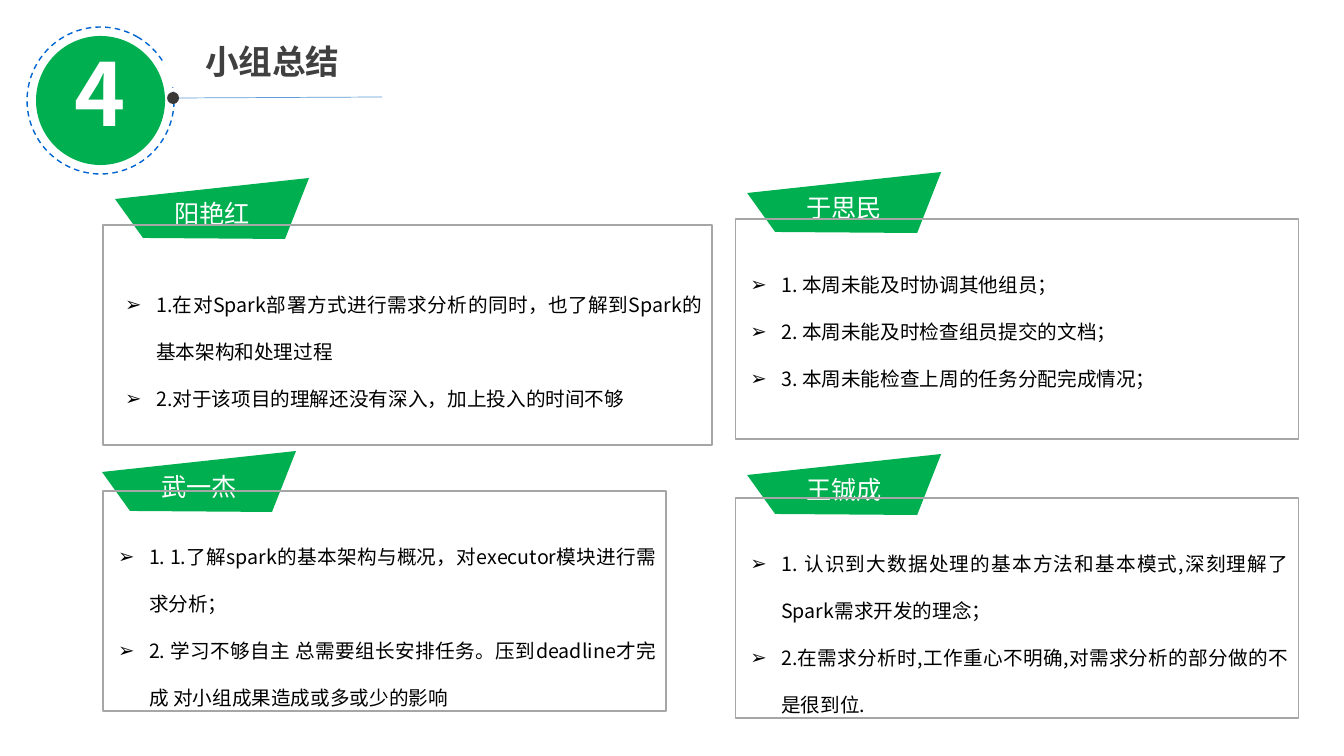
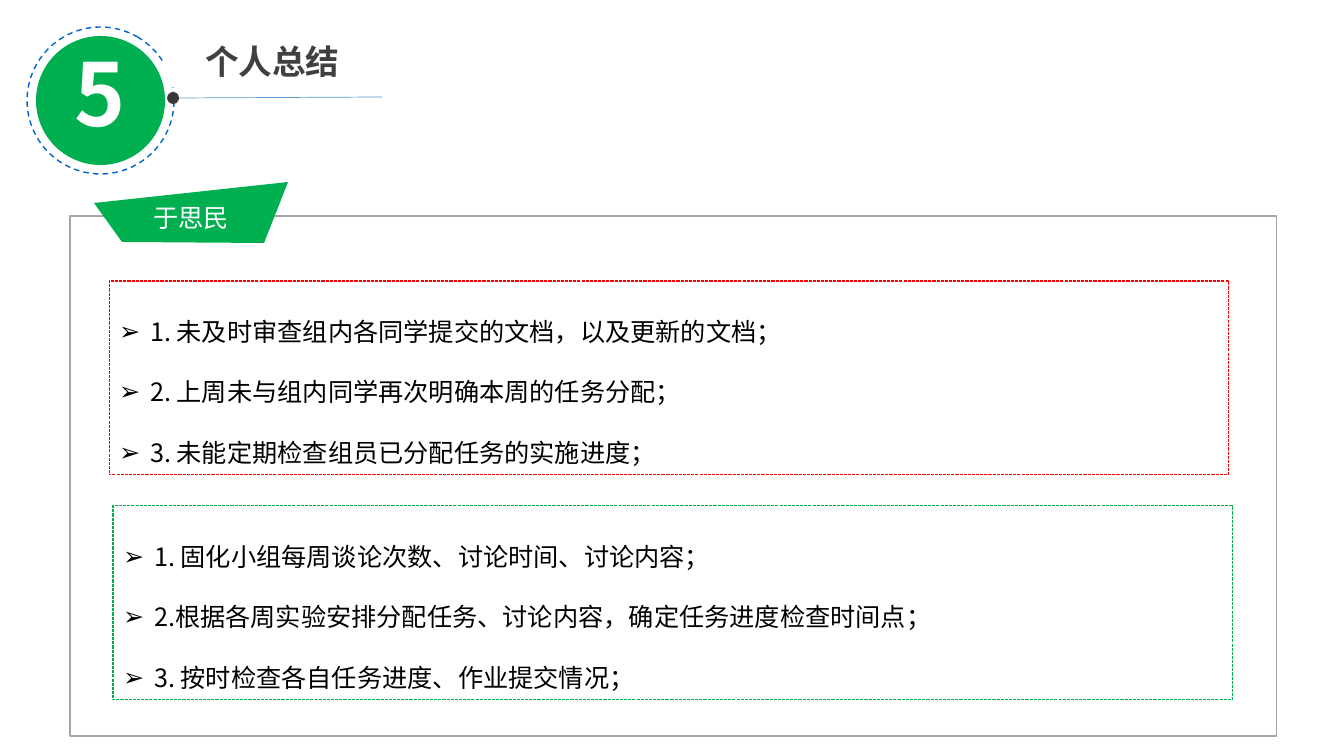
from lxml import etree
from pptx import Presentation
from pptx import util as u
from pptx.dml.color import RGBColor
from pptx.enum import dml, shapes, text
from pptx.oxml.ns import qn

PX = 914400 / 100.8
GREEN, WHITE, BLACK, GREY = "00B050", "FFFFFF", "000000", "A6A6A6"
FONT = "Noto Sans CJK SC"
DASH, SHORT_DASH = dml.MSO_LINE.DASH, dml.MSO_LINE.SQUARE_DOT
TAG_OUTLINE = [(0, 21), (194, 0), (170, 61), (28, 60)]
INDENT = 31

# Each card: name, tag corner, frame box.  Each list: box, outline, lines.
sections = [
    dict(number="4", title="小组总结", layout=4, size=14, tag_in_front=False,
         cards=[
             ("阳艳红", (115, 178), (103, 225, 609, 220)),
             ("于思民", (747, 172), (735, 219, 563, 220)),
             ("武一杰", (102, 451), (103, 491, 563, 220)),
             ("王铖成", (747, 454), (735, 498, 563, 220))],
         lists=[
             ((115, 264, 597, 152), None, [
                 "1.在对Spark部署方式进行需求分析的同时，也了解到Spark的基本架构和处理过程",
                 "2.对于该项目的理解还没有深入，加上投入的时间不够"]),
             ((740, 244, 535, 152), None, [
                 "1. 本周未能及时协调其他组员；",
                 "2. 本周未能及时检查组员提交的文档；",
                 "3. 本周未能检查上周的任务分配完成情况；"]),
             ((108, 516, 558, 201), None, [
                 "1. 1.了解spark的基本架构与概况，对executor模块进行需求分析；",
                 "2. 学习不够自主 总需要组长安排任务。压到deadline才完成 对小组成果造成或多或少的影响"]),
             ((740, 523, 558, 201), None, [
                 "1. 认识到大数据处理的基本方法和基本模式,深刻理解了Spark需求开发的理念；",
                 "2.在需求分析时,工作重心不明确,对需求分析的部分做的不是很到位."])]),
    dict(number="5", title="个人总结", layout=3, size=18, tag_in_front=True,
         cards=[("于思民", (94, 182), (70, 216, 1206, 520))],
         lists=[
             ((109, 281, 1119, 194), "FF0000", [
                 "1. 未及时审查组内各同学提交的文档，以及更新的文档；",
                 "2. 上周未与组内同学再次明确本周的任务分配；",
                 "3. 未能定期检查组员已分配任务的实施进度；"]),
             ((113, 506, 1119, 194), GREEN, [
                 "1. 固化小组每周谈论次数、讨论时间、讨论内容；",
                 "2.根据各周实验安排分配任务、讨论内容，确定任务进度检查时间点；",
                 "3. 按时检查各自任务进度、作业提交情况；"])]),
]


def paint(shape, fill=None, line=None, width=1, dash=None):
    """Set fill and outline; None means there is none."""
    shape.shadow.inherit = False
    for part, color in ((shape.fill, fill), (shape.line.fill, line)):
        if color:
            part.solid()
            part.fore_color.rgb = RGBColor.from_string(color)
        else:
            part.background()
    if line:
        shape.line.width = u.Pt(width)
        shape.line.dash_style = dash


def write(para, words, size, color, align, bold=False):
    """Fill a paragraph and set its font for Latin and Chinese text."""
    para.text = words
    para.alignment = align
    font = para.font
    font.size, font.bold, font.name = u.Pt(size), bold, FONT
    font.color.rgb = RGBColor.from_string(color)
    properties = para._p.pPr.find(qn("a:defRPr"))
    etree.SubElement(properties, qn("a:ea"), typeface=FONT)


deck = Presentation()
deck.slide_width, deck.slide_height = u.Inches(13.33), u.Inches(7.5)
ALIGN, ANCHOR = text.PP_ALIGN, text.MSO_ANCHOR
OVAL = shapes.MSO_SHAPE.OVAL

for section in sections:
    page = deck.slides.add_slide(deck.slide_layouts[section["layout"]])
    title, *bodies = page.placeholders
    tree = title.element.getparent()

    # Bulleted lists
    for body, (place, outline, lines) in zip(bodies, section["lists"]):
        body.left, body.top, body.width, body.height = [round(n * PX) for n in place]
        paint(body, None, outline, 0.75, SHORT_DASH)
        frame = body.text_frame
        frame.word_wrap, frame.auto_size = True, text.MSO_AUTO_SIZE.NONE
        frame.vertical_anchor = ANCHOR.TOP
        for index, words in enumerate(lines):
            para = frame.add_paragraph() if index else frame.paragraphs[0]
            para.line_spacing, para.space_before = 2.0, u.Pt(0)
            spacing = para._p.get_or_add_pPr()
            spacing.set("marL", str(round(INDENT * PX)))
            spacing.set("indent", str(round(-INDENT * PX)))
            etree.SubElement(spacing, qn("a:buChar"), char="➢")
            write(para, words, section["size"], BLACK, ALIGN.JUSTIFY)

    # Name tags and frames
    for name, (left, top), place in section["cards"]:
        points = [(left + x, top + y) for x, y in TAG_OUTLINE]
        builder = page.shapes.build_freeform(*points[0], scale=PX)
        builder.add_line_segments(points[1:])
        tag = builder.convert_to_shape()
        paint(tag, GREEN)
        tag.text_frame.vertical_anchor = ANCHOR.MIDDLE
        para = tag.text_frame.paragraphs[0]
        para.line_spacing = u.Pt(28)
        write(para, name, 18, WHITE, ALIGN.CENTER)
        border = page.shapes.add_shape(shapes.MSO_SHAPE.RECTANGLE,
                                       *[round(n * PX) for n in place])
        paint(border, None, GREY)
        if section["tag_in_front"]:
            tree.append(tag.element)

    # Dashed ring, dot and rule of the heading
    ring = page.shapes.add_shape(OVAL, *[round(n * PX) for n in (27, 27, 147, 147)])
    paint(ring, None, "0064D2", 1, DASH)
    dot = page.shapes.add_shape(OVAL, *[round(n * PX) for n in (167, 92, 12, 12)])
    paint(dot, "3B3838")
    ring.rotation = dot.rotation = 120
    rule = page.shapes.add_connector(shapes.MSO_CONNECTOR.STRAIGHT,
                                     *[round(n * PX) for n in (179, 98, 382, 97)])
    rule.line.color.rgb = RGBColor.from_string("5B9BD5")
    rule.line.width = u.Pt(0.5)
    etree.SubElement(rule._element.spPr, qn("a:effectLst"))

    # Title, in front of the ring
    tree.append(title.element)
    title.left, title.top, title.width, title.height = [
        round(n * PX) for n in (164, 36, 444, 51)]
    paint(title, WHITE)
    title.text_frame.auto_size = text.MSO_AUTO_SIZE.NONE
    title.text_frame.vertical_anchor = ANCHOR.MIDDLE
    title.text_frame.margin_left = round(41 * PX)
    write(title.text_frame.paragraphs[0], section["title"], 24, "404040", ALIGN.LEFT, True)

    # Section number
    badge = page.shapes.add_shape(OVAL, *[round(n * PX) for n in (36, 36, 129, 129)])
    paint(badge, GREEN)
    frame = badge.text_frame
    frame.word_wrap = False
    frame.vertical_anchor = ANCHOR.MIDDLE
    frame.margin_left = frame.margin_right = frame.margin_top = 0
    frame.margin_bottom = round(17 * PX)
    write(frame.paragraphs[0], section["number"], 62, WHITE, ALIGN.CENTER, True)

deck.save("out.pptx")
